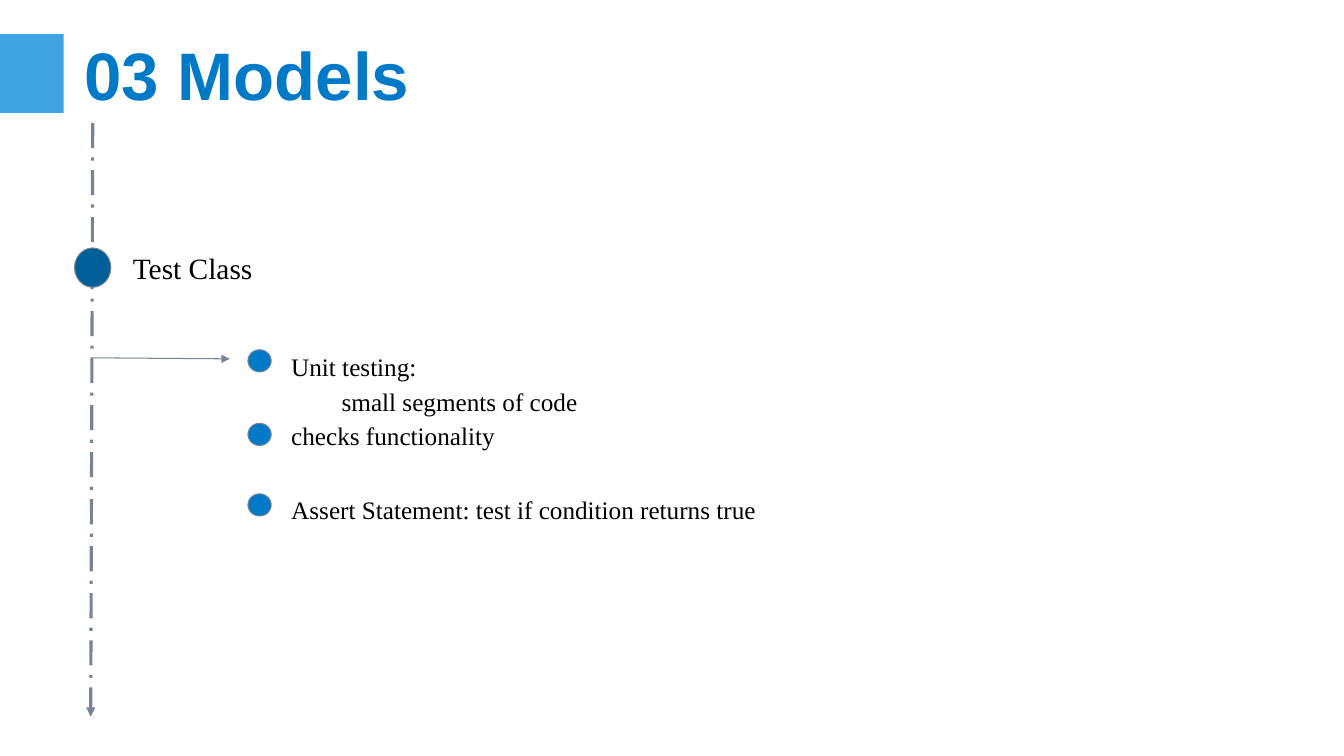
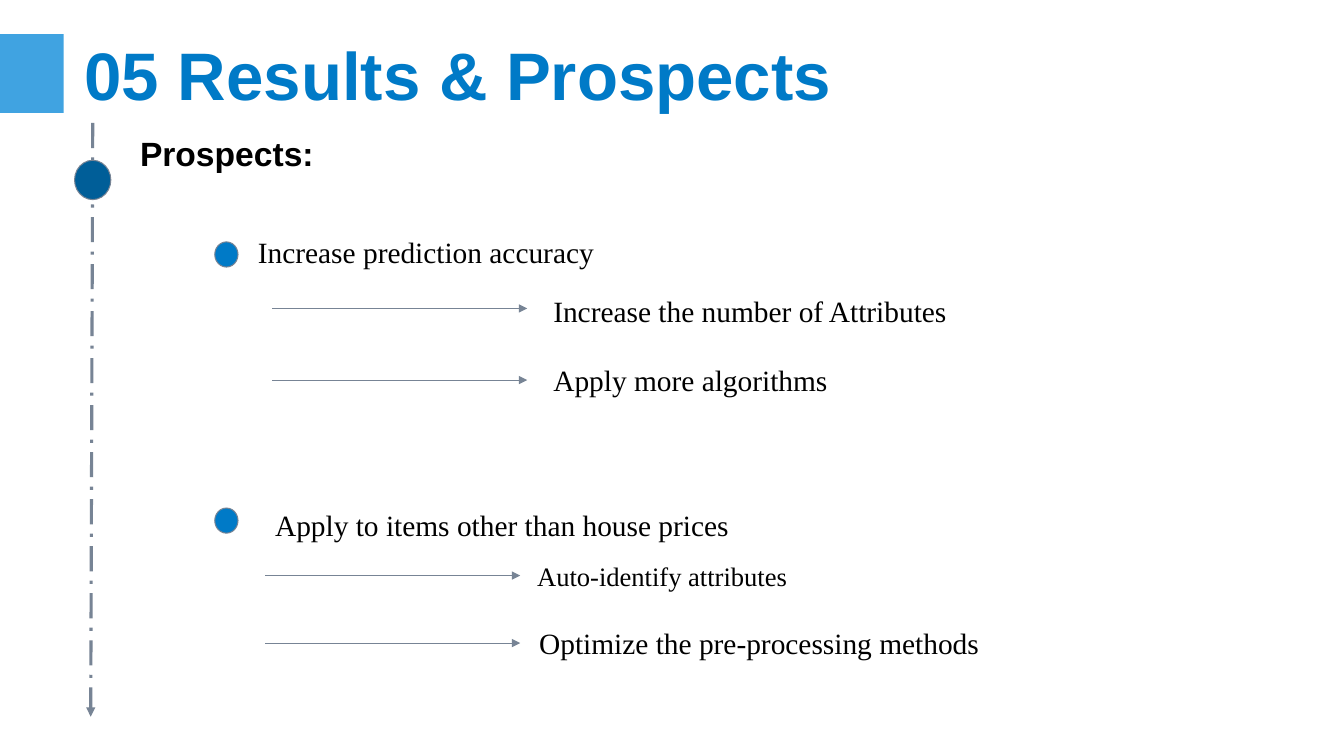
from lxml import etree
from pptx import Presentation, util as u
from pptx.dml.color import RGBColor
from pptx.enum import dml, shapes, text
from pptx.oxml.ns import qn

BLUE = RGBColor(0x00, 0x7A, 0xC7)
NAVY = RGBColor(0x00, 0x5E, 0x98)
SKY = RGBColor(0x40, 0xA3, 0xE1)
SLATE = RGBColor(0x77, 0x84, 0x95)
BLACK = RGBColor(0x00, 0x00, 0x00)

prs = Presentation()
prs.slide_width, prs.slide_height = u.Inches(13.33), u.Inches(7.5)
COL, ROW = prs.slide_width / 100, prs.slide_height / 100  # grid of 100 by 100

TITLE = dict(size=u.Pt(48), name="Arial", bold=True)
HEAD = dict(size=u.Pt(24), name="Arial", bold=True)
BODY = dict(size=u.Pt(21), name="Times New Roman")
SMALL = dict(size=u.Pt(19), name="Times New Roman")
NOTE = dict(size=u.Pt(18), name="Times New Roman")
THIN = dict(width=u.Pt(0.75))
SPINE = dict(width=u.Pt(2.25), dash_style=dml.MSO_LINE.LONG_DASH_DOT)

# Each slide: dots (x, y, height), arrows (x1, y1, x2, y2),
# text (x, y, width, height, format, lines)
SLIDES = [
    dict(
        title="03 Models",
        marker=32.8,
        dots=[(18.45, y, 2.93) for y in (46.27, 56, 65.33)],
        arrows=[(6.75, 47.33, 17.1, 47.47)],
        texts=[
            (9.15, 31.73, 83.5, 7.47, BODY, ["Test Class"]),
            (20.93, 44.53, 49.6, 20.67, NOTE,
             ["Unit testing:", "small segments of code", "checks functionality"]),
            (20.93, 64, 44.7, 9.87, NOTE,
             ["Assert Statement: test if condition returns true"]),
        ],
    ),
    dict(
        title="05 Results & Prospects",
        marker=21.2,
        dots=[(15.98, y, 3.33) for y in (32, 67.2)],
        arrows=[(x, y, x + 18.98, y) for x, y in
                ((20.25, 40.8), (20.25, 50.27), (19.73, 76.13), (19.73, 85.07))],
        texts=[
            (9.68, 16.27, 24.6, 8.13, HEAD, ["Prospects:"]),
            (18.45, 29.6, 57.8, 7.47, BODY, ["Increase prediction accuracy"]),
            (40.43, 37.47, 49.6, 7.47, BODY, ["Increase the number of Attributes"]),
            (40.43, 46.53, 49.6, 7.47, BODY, ["Apply more algorithms"]),
            (19.73, 65.73, 57.8, 7.47, BODY,
             ["Apply to items other than house prices"]),
            (39.23, 72.67, 57.8, 6.93, SMALL, ["Auto-identify attributes"]),
            (39.38, 81.33, 46.6, 7.47, BODY,
             ["Optimize the pre-processing methods"]),
        ],
    ),
]


def box(x, y, w, h):
    return [int(n) for n in (x * COL, y * ROW, w * COL, h * ROW)]


for page in SLIDES:
    s = prs.slides.add_slide(prs.slide_layouts[6])

    # Band beside the title
    sp = s.shapes.add_shape(shapes.MSO_SHAPE.RECTANGLE, *box(0, 4.53, 4.75, 10.4))
    sp.shadow.inherit = False
    sp.fill.solid()
    sp.fill.fore_color.rgb = SKY
    sp.line.fill.background()

    # Timeline spine and arrows
    arrows = [((6.9, 16.27, 6.75, 94.8), SPINE)]
    arrows += [(ends, THIN) for ends in page["arrows"]]
    for ends, fmt in arrows:
        cx = s.shapes.add_connector(shapes.MSO_CONNECTOR.STRAIGHT, *box(*ends))
        cx.line.color.rgb = SLATE
        for key, value in fmt.items():
            setattr(cx.line, key, value)
        spPr = cx._element.spPr
        etree.SubElement(spPr.find(qn("a:ln")), qn("a:tailEnd"), type="triangle")
        etree.SubElement(spPr, qn("a:effectLst"))

    # Marker on the spine and bullet dots
    dots = [(5.55, page["marker"], 2.7, 5.2, NAVY)]
    dots += [(x, y, 1.73, h, BLUE) for x, y, h in page["dots"]]
    for *place, color in dots:
        sp = s.shapes.add_shape(shapes.MSO_SHAPE.OVAL, *box(*place))
        sp.shadow.inherit = False
        sp.fill.solid()
        sp.fill.fore_color.rgb = color
        sp.line.color.rgb = SLATE
        sp.line.width = u.Pt(0.75)

    # Title and text
    title = (5.55, 3.07, 88.95, 13.47, TITLE, [page["title"]])
    for *place, fmt, lines in [title] + page["texts"]:
        tf = s.shapes.add_textbox(*box(*place)).text_frame
        tf.word_wrap = True
        tf.auto_size = text.MSO_AUTO_SIZE.SHAPE_TO_FIT_TEXT
        for side in ("left", "top", "right", "bottom"):
            setattr(tf, f"margin_{side}", u.Inches(0.1))
        for i, line in enumerate(lines):
            p = tf.add_paragraph() if i else tf.paragraphs[0]
            r = p.add_run()
            r.text = line
            r.font.color.rgb = BLUE if fmt is TITLE else BLACK
            for key, value in fmt.items():
                setattr(r.font, key, value)
            if len(lines) > 1:
                p.line_spacing = 1.15
            if i == 1:  # detail line is indented
                p._p.get_or_add_pPr().set("indent", str(u.Inches(0.5)))

prs.save("out.pptx")
